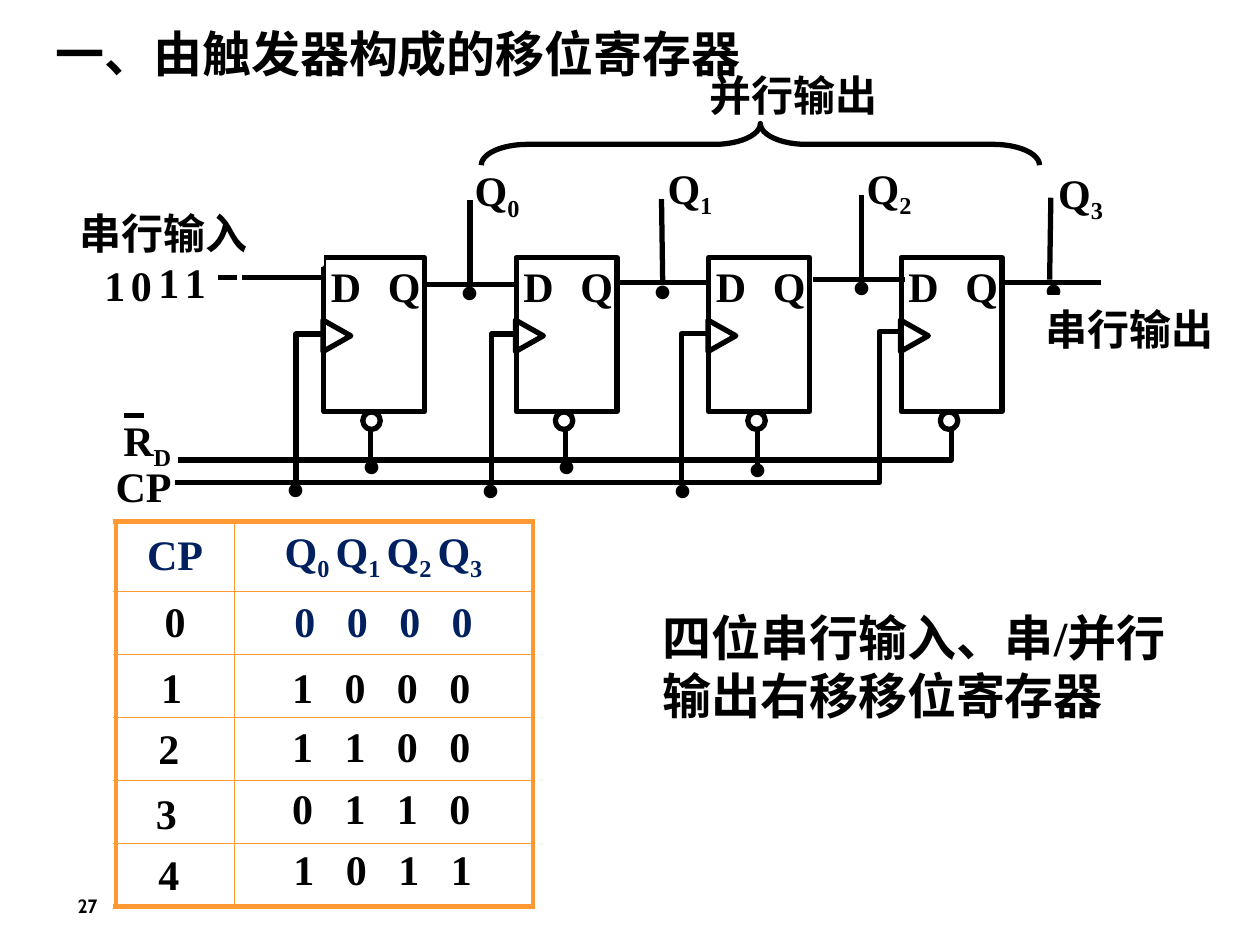
import pptx
import pptx.dml.color
import pptx.enum.shapes
import pptx.enum.text
import pptx.oxml
import pptx.oxml.ns
import pptx.util

Pt = pptx.util.Pt
colour = pptx.dml.color.RGBColor.from_string
Shape = pptx.enum.shapes.MSO_SHAPE
Anchor = pptx.enum.text.MSO_ANCHOR
Align = pptx.enum.text.PP_ALIGN

deck = pptx.Presentation()
deck.slide_width, deck.slide_height = Pt(720), Pt(540)
page = deck.slides.add_slide(deck.slide_layouts[5])


def write(frame, text, size=24, font="Times New Roman", ink="000000",
          align=Align.LEFT, anchor=Anchor.TOP, inset=3.6):
    """Fill a text frame; every second part between bars is a subscript."""
    frame.word_wrap = True
    frame.vertical_anchor = anchor
    frame.margin_top = Pt(inset)
    para = frame.paragraphs[0]
    para.alignment = align
    for index, part in enumerate(text.split("|")):
        span = para.add_run()
        span.text = part
        span.font.size = Pt(size)
        span.font.name = font
        span.font.bold = True
        span.font.color.rgb = colour(ink)
        if index % 2:
            span._r.get_or_add_rPr().set("baseline", "-25000")


def outline(shape, ink="000000"):
    """Leave a shape unfilled, with a plain 3 pt line and no shadow."""
    shape.fill.background()
    shape.line.color.rgb = colour(ink)
    shape.line.width = Pt(3)
    shape.shadow.inherit = False


# Title and page number
title = page.shapes.title
title.left, title.top, title.width, title.height = Pt(24.5), Pt(10), Pt(422.6), Pt(36)
write(title.text_frame, "一、由触发器构成的移位寄存器", size=28)
title.text_frame.auto_size = pptx.enum.text.MSO_AUTO_SIZE.NONE
number = page.shapes.add_textbox(Pt(14.4), Pt(507.6), Pt(71.3), Pt(26.6))
write(number.text_frame, "27", size=11, font="Cabin", align=Align.CENTER)

# Four flip-flops: body, clock wedge, reset bubble
labels = []  # text, left, top, width
for stage in range(4):
    left, top = 185 + 110 * stage, 147.2
    for kind, dx, dy, width, height, turn in (
        (Shape.RECTANGLE, 0, 0, 57.6, 88, 0),
        (Shape.ISOSCELES_TRIANGLE, -1.5, 36.7, 18, 16, 90),
        (Shape.OVAL, 22.3, 88.2, 10, 10, 0),
    ):
        part = page.shapes.add_shape(kind, Pt(left + dx), Pt(top + dy), Pt(width), Pt(height))
        part.rotation = turn
        outline(part)
    labels += [("D", left - 3, 142.8, 46.8), ("Q", left + 29.5, 142.8, 46.8)]

# Reset bus and clock wires with bends
for route in (
    [(543.6, 244.8), (543.6, 262.8), (101.5, 262.8)],
    [(515.5, 189.4), (502.6, 189.4), (502.6, 275.8), (100, 275.8)],
    [(403.9, 190.8), (389.5, 190.8), (389.5, 274.3)],
    [(295.2, 190.8), (280.8, 190.8), (280.8, 275.8)],
    [(183.6, 190.8), (169.2, 190.8), (169.2, 275.8)],
):
    points = [(Pt(x), Pt(y)) for x, y in route]
    builder = page.shapes.build_freeform(*points[0])
    builder.add_line_segments(points[1:], close=False)
    outline(builder.convert_to_shape())

# Straight wires
for x1, y1, x2, y2 in (
    # reset drops
    (211.7, 244.8, 211.7, 261.4), (323.3, 244.8, 323.3, 262.8), (432.7, 244, 432.7, 265),
    # data path from left to right
    (183.6, 158.4, 124.6, 158.4), (241.2, 162.7, 295.2, 162.7), (352.8, 161.3, 405.4, 161.3),
    (464.4, 159.8, 517, 159.8), (573.1, 161.3, 629.3, 161.3),
    # parallel outputs
    (268.6, 161.3, 268.6, 114.5), (378.7, 160.6, 378, 113.8),
    (492.5, 158.4, 492.5, 111.6), (599.8, 159.8, 600.5, 113),
    # bar over R
    (70.6, 237.6, 82.1, 237.6),
):
    wire = page.shapes.add_connector(
        pptx.enum.shapes.MSO_CONNECTOR.STRAIGHT, Pt(x1), Pt(y1), Pt(x2), Pt(y2))
    wire.line.color.rgb = colour("000000")
    wire.line.width = Pt(3)
    wire._element.spPr.append(pptx.oxml.parse_xml(
        "<a:effectLst %s/>" % pptx.oxml.ns.nsdecls("a")))

# Signal names
labels += [
    ("CP", 59, 257, 55.4), ("R|D", 63.4, 230.4, 55.4),
    ("Q|0", 264.2, 87.8, 55.4), ("Q|1", 374.4, 86.4, 55.4),
    ("Q|2", 488.2, 86.4, 55.4), ("Q|3", 597.6, 89.3, 55.4),
]
for text, left, top, width in labels:
    box = page.shapes.add_textbox(Pt(left), Pt(top), Pt(width), Pt(36))
    write(box.text_frame, text, inset=6.3)

# Junction dots
for left, top in (
    (255.6, 115.9), (365.8, 115.2), (479.5, 113), (589, 114.5),
    (377.3, 229), (267.8, 229), (156.2, 228.2),
    (199.4, 215.3), (311, 215.3), (419.8, 216.7),
):
    box = page.shapes.add_textbox(Pt(left), Pt(top), Pt(61.9), Pt(64.8))
    write(box.text_frame, ".", size=48, inset=7.5)

# State table: thick frame, thin inner rules
heights = [40] + [36] * 5
table = page.shapes.add_table(
    6, 2, Pt(66.2), Pt(298), Pt(238.3), Pt(sum(heights))).table
table.first_row = table.horz_banding = False
for column, width in zip(table.columns, (67.7, 170.6)):
    column.width = Pt(width)
for row, height in zip(table.rows, heights):
    row.height = Pt(height)
for r in range(6):
    for c in range(2):
        cell = table.cell(r, c)
        cell.fill.background()
        edges = (("L", c == 0), ("R", c == 1), ("T", r == 0), ("B", r == 5))
        for place, (side, outer) in enumerate(edges):
            cell._tc.get_or_add_tcPr().insert(place, pptx.oxml.parse_xml(
                '<a:ln%s %s w="%d"><a:solidFill><a:srgbClr val="FF9933"/></a:solidFill></a:ln%s>'
                % (side, pptx.oxml.ns.nsdecls("a"), Pt(3 if outer else 1), side)))
for r, c, text, ink in (
    (0, 0, "CP", "002060"), (0, 1, "Q|0 |Q|1 |Q|2 |Q|3", "002060"),
    (1, 0, "0", "000000"), (1, 1, "0   0   0   0", "002060"),
):
    write(table.cell(r, c).text_frame, text, ink=ink, align=Align.CENTER)
    table.cell(r, c).vertical_anchor = Anchor.MIDDLE

# States after each clock pulse
for pulse, pulse_left, pulse_top, state, state_left, state_top in (
    ("1", 85, 371.5, "1   0   0   0", 159.8, 371.5),
    ("2", 83.5, 406.8, "1   1   0   0", 159.8, 405.4),
    ("3", 82, 443.5, "0   1   1   0", 159.8, 440.6),
    ("4", 83.5, 478.8, "1   0   1   1", 160.6, 475.9),
):
    for text, left, top, width in (
        (pulse, pulse_left, pulse_top, 38.2), (state, state_left, state_top, 126),
    ):
        box = page.shapes.add_textbox(Pt(left), Pt(top), Pt(width), Pt(36))
        write(box.text_frame, text, inset=6.3)

# Serial input bits, captions and summary in white-edged boxes
for text, left, top, width, height, size, inset in (
    ("1", 98.6, 140.4, 38.2, 36, 24, 6.3),
    ("1", 83.5, 140.4, 38.2, 36, 24, 6.3),
    ("0", 67.7, 141.8, 38.2, 36, 24, 6.3),
    ("1", 52.6, 141.8, 38.2, 36, 24, 6.3),
    ("串行输入", 38.2, 115.2, 145.4, 36, 24, 3.6),
    ("串行输出", 590.4, 169.9, 129.6, 36, 24, 3.6),
    ("四位串行输入、串/并行输出右移移位寄存器", 371.5, 343.4, 302.4, 74.2, 28, 3.6),
):
    box = page.shapes.add_shape(Shape.RECTANGLE, Pt(left), Pt(top), Pt(width), Pt(height))
    outline(box, "FFFFFF")
    write(box.text_frame, text, size=size, inset=inset)

# Parallel output caption and brace
caption = page.shapes.add_textbox(Pt(398.2), Pt(36), Pt(129.6), Pt(36))
write(caption.text_frame, "并行输出")
brace = page.shapes.add_shape(Shape.LEFT_BRACE, Pt(422.6), Pt(-77), Pt(23.8), Pt(319))
brace.rotation = 90
brace.adjustments[0] = 1.11
outline(brace)

deck.save("out.pptx")
